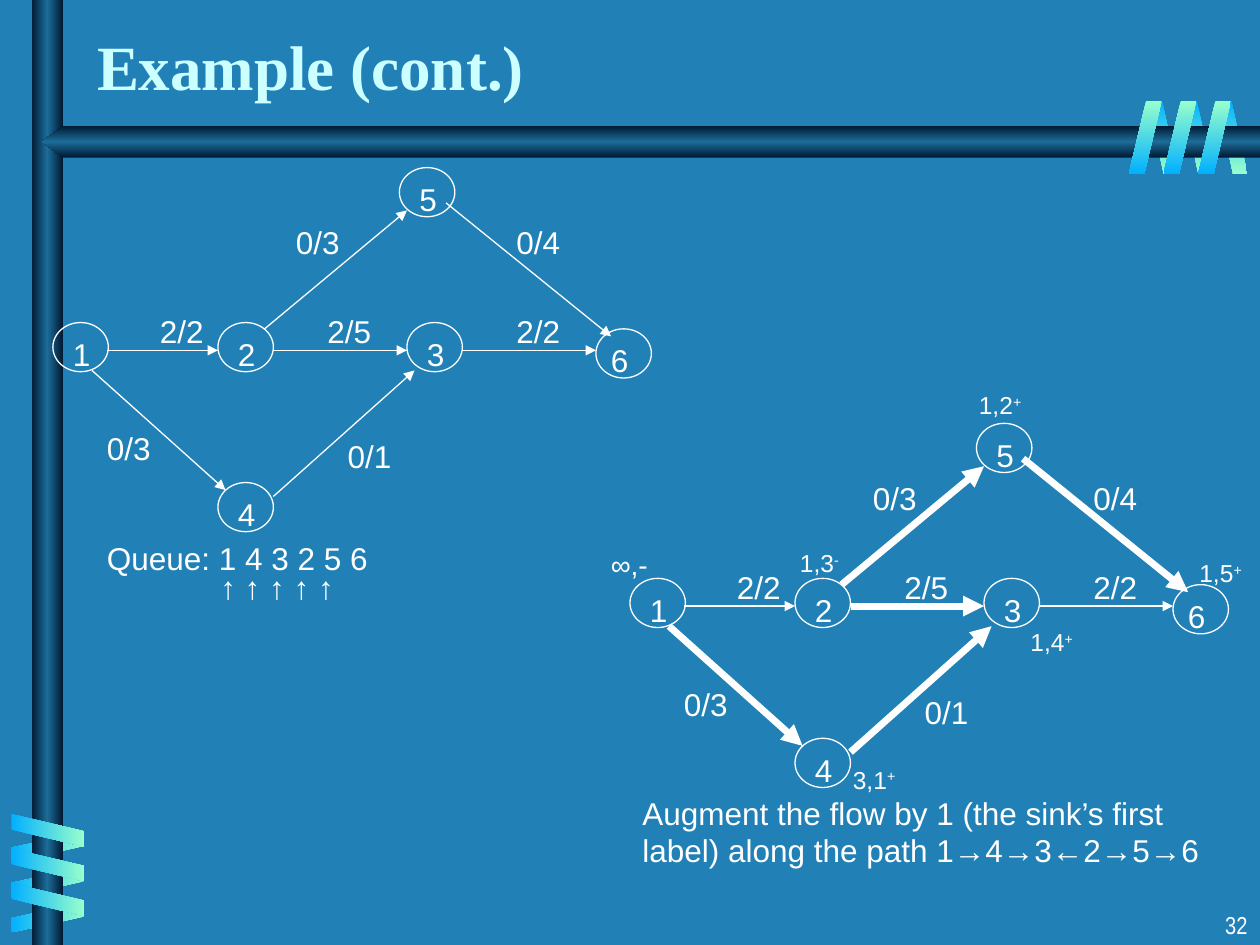
from copy import deepcopy

from lxml import etree
from pptx import Presentation
from pptx import util as u
from pptx.dml.color import RGBColor
from pptx.enum import shapes, text
from pptx.oxml.ns import qn

BLUE = RGBColor(0x21, 0x81, 0xB7)
WHITE = RGBColor(0xFF, 0xFF, 0xFF)
PALE = RGBColor(0xCC, 0xFF, 0xFF)
SKY = RGBColor(0x01, 0xB0, 0xFF)
MINT = RGBColor(0x99, 0xFF, 0xCC)
NAVY = RGBColor(0x00, 0x19, 0x32)
STEEL = RGBColor(0x1C, 0x6D, 0x9A)

prs = Presentation()
prs.slide_width, prs.slide_height = u.Inches(10), u.Inches(7.5)
CELL = prs.slide_width // 100  # the slide is a grid of 100 columns by 75 rows


def cells(*counts):
    return [round(count * CELL) for count in counts]


def add_text(place, lines, size=18, wrap=False, font="Arial", raised=""):
    """Put white lines on the slide; raised is a superscript after the last one."""
    frame = slide.shapes.add_textbox(*cells(*place)).text_frame
    frame.word_wrap = wrap
    frame.auto_size = text.MSO_AUTO_SIZE.SHAPE_TO_FIT_TEXT
    frame.text = lines
    for paragraph in frame.paragraphs:
        paragraph.font.name = font
        paragraph.font.size = u.Pt(size)
        paragraph.font.color.rgb = WHITE
    if raised:
        run = frame.paragraphs[-1].add_run()
        run.text = raised
        run.font._element.set("baseline", "30000")
    return frame


slide = prs.slides.add_slide(prs.slide_layouts[5])
slide.background.fill.solid()
slide.background.fill.fore_color.rgb = BLUE

# Frame: beams with ribbons wound around them
RIBBON = shapes.MSO_SHAPE.PARALLELOGRAM
ornaments = []  # shape, gradient colours, clockwise angle

# left, top, step right, step down, width, rotation, mirrored, colours, angle
back_ribbons = [(91.1, 8, 2.75, 0, 2.4, 180, True, (SKY, MINT), 90),
                (2.6, 64.3, 0, 2.8, 2.4, 90, True, (MINT, SKY), 0)]
front_ribbons = [(2.5, 63, 0, 2.75, 2.6, 270, False, (SKY, MINT), 0),
                 (89.6, 8, 2.75, 0, 2.6, 0, False, (MINT, SKY), 90)]

for layer in (back_ribbons, front_ribbons):
    for left, top, right, down, width, turn, mirrored, colours, angle in layer:
        for i in range(3):
            ribbon = slide.shapes.add_shape(
                RIBBON, *cells(left + i * right, top + i * down, width, 5.8))
            ribbon.adjustments[0] = 0.53
            ribbon.rotation = turn
            if mirrored:
                ribbon._element.spPr.xfrm.set("flipH", "1")
            ornaments.append((ribbon, colours, angle))
    if layer is back_ribbons:
        post = slide.shapes.add_shape(
            shapes.MSO_SHAPE.RECTANGLE, *cells(2.5, 0, 2.5, 75))
        outline = slide.shapes.build_freeform(*cells(100, 10))
        outline.add_line_segments(
            [cells(x, y) for x, y in [(5, 10), (3.3, 11.25), (5, 12.5), (100, 12.5)]])
        beam = outline.convert_to_shape()
        ornaments += [(post, (NAVY, STEEL, NAVY), 0), (beam, (NAVY, STEEL, NAVY), 90)]

for ornament, colours, angle in ornaments:
    ornament.shadow.inherit = False
    ornament.line.fill.background()
    ornament.fill.gradient()
    ornament.fill.gradient_angle = -angle % 360
    gradient = ornament._element.spPr.find(qn("a:gradFill"))
    gradient.set("rotWithShape", "0")
    stops = gradient.find(qn("a:gsLst"))
    if len(colours) == 3:
        stops.insert(1, deepcopy(stops[0]))
    for i, (stop, colour) in enumerate(zip(ornament.fill.gradient_stops, colours)):
        stop.color.rgb = colour
        stop.position = i / (len(colours) - 1)

# Title and slide number
title = slide.shapes.title
title.left, title.top, title.width, title.height = cells(6.7, 1.7, 49.2, 7)
title.text_frame.text = "Example (cont.)"
title.text_frame.vertical_anchor = text.MSO_ANCHOR.TOP
title.text_frame.auto_size = text.MSO_AUTO_SIZE.NONE
heading = title.text_frame.paragraphs[0]
heading.alignment = text.PP_ALIGN.LEFT
heading.font.name = "Times New Roman"
heading.font.size = u.Pt(36)
heading.font.bold = True
heading.font.color.rgb = PALE

number = add_text((79.2, 71.7, 20.8, 3.3), "32", 14, True, "Arial Narrow")
number.paragraphs[0].alignment = text.PP_ALIGN.RIGHT

# The network, drawn before and after labelling
nodes = {"1": (4.2, 25.6), "4": (17.3, 38.3), "3": (32.3, 25.6),
         "2": (17.3, 25.6), "5": (31.7, 13.3), "6": (47.3, 26.1)}
# ends of the arrow, place of its flow label, flow, on the augmenting path
edges = [((7.3, 29.4, 17.9, 38.9), (7.5, 33.6), "0/3", True),
         ((8.5, 27.8, 17.3, 27.8), (11.7, 24.3), "2/2", False),
         ((21, 26.1, 32.3, 16.7), (22.5, 17.2), "0/3", True),
         ((21.7, 27.8, 32.3, 27.8), (25, 24.3), "2/5", True),
         ((21.7, 39.4, 32.9, 29.4), (26.6, 34.2), "0/1", True),
         ((36.7, 27.8, 47.3, 27.8), (40, 24.3), "2/2", False),
         ((35.4, 16.1, 48.5, 26.7), (40, 17.2), "0/4", True)]

for dx, dy, labelled in [(0, 0, False), (45.8, 20.3, True)]:
    for name, (x, y) in nodes.items():
        circle = slide.shapes.add_shape(
            shapes.MSO_SHAPE.OVAL, *cells(x + dx, y + dy, 4.4, 3.9))
        circle.shadow.inherit = False
        circle.fill.background()
        circle.line.color.rgb = WHITE
        circle.line.width = u.Pt(0.75)
        inset = 0.2 if name == "6" else 0.6
        add_text((x + dx + inset, y + dy + 0.5, 3.4, 4), name)
    for (x1, y1, x2, y2), (x, y), flow, on_route in edges:
        arrow = slide.shapes.add_connector(
            shapes.MSO_CONNECTOR.STRAIGHT, *cells(x1 + dx, y1 + dy, x2 + dx, y2 + dy))
        arrow.line.color.rgb = WHITE
        arrow.line.width = u.Pt(4 if labelled and on_route else 0.75)
        etree.SubElement(arrow.line._get_or_add_ln(), qn("a:tailEnd"), type="triangle")
        etree.SubElement(arrow._element.spPr, qn("a:effectLst"))
        add_text((x + dx, y + dy, 5.5, 4), flow)

# Vertex labels of the second network
add_text((47.5, 43, 5, 3.7), "∞,-", 16, True)
for x, y, label, sign in [(62.5, 43, "1,3", "-"), (76.7, 30.5, "1,2", "+"),
                          (94.2, 43.8, "1,5", "+"), (80.8, 49.3, "1,4", "+"),
                          (66.7, 60.2, "3,1", "+")]:
    add_text((x, y, 5.8, 3.4), label, 14, True, raised=sign)

# Remarks under the networks
add_text((50, 62.5, 46.7, 7), "Augment the flow by 1 (the sink’s first label) "
         "along the path 1→4→3←2→5→6", wrap=True)
queue = add_text((7.5, 44.2, 24.2, 4.1), "Queue: 1 4 3 2 5 6\n↑ ↑ ↑ ↑ ↑", wrap=True)
entries, pointers = queue.paragraphs
entries.line_spacing = pointers.line_spacing = 0.25
pointers.space_before = u.Pt(11.2)
pointers._p.get_or_add_pPr().set("marL", str(9 * CELL))

prs.save("out.pptx")
